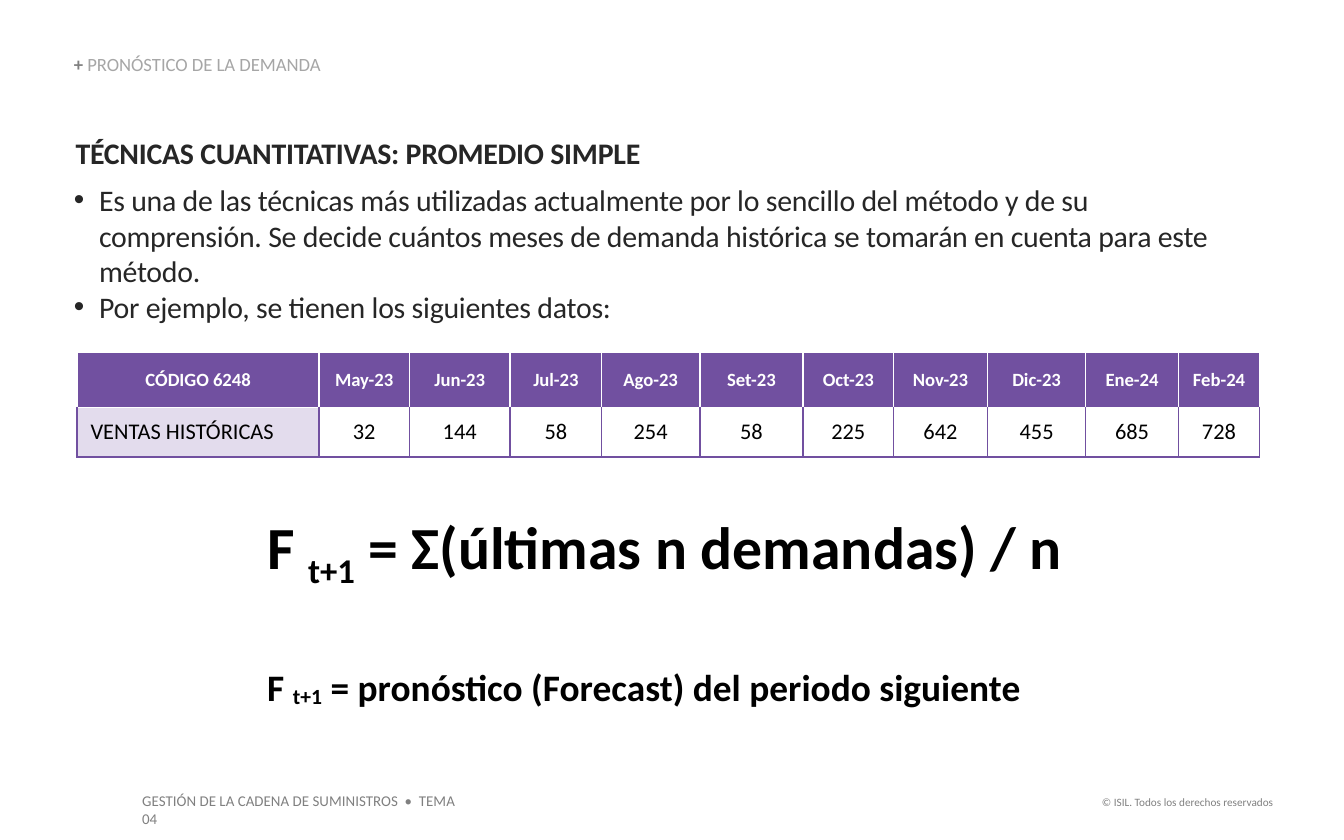
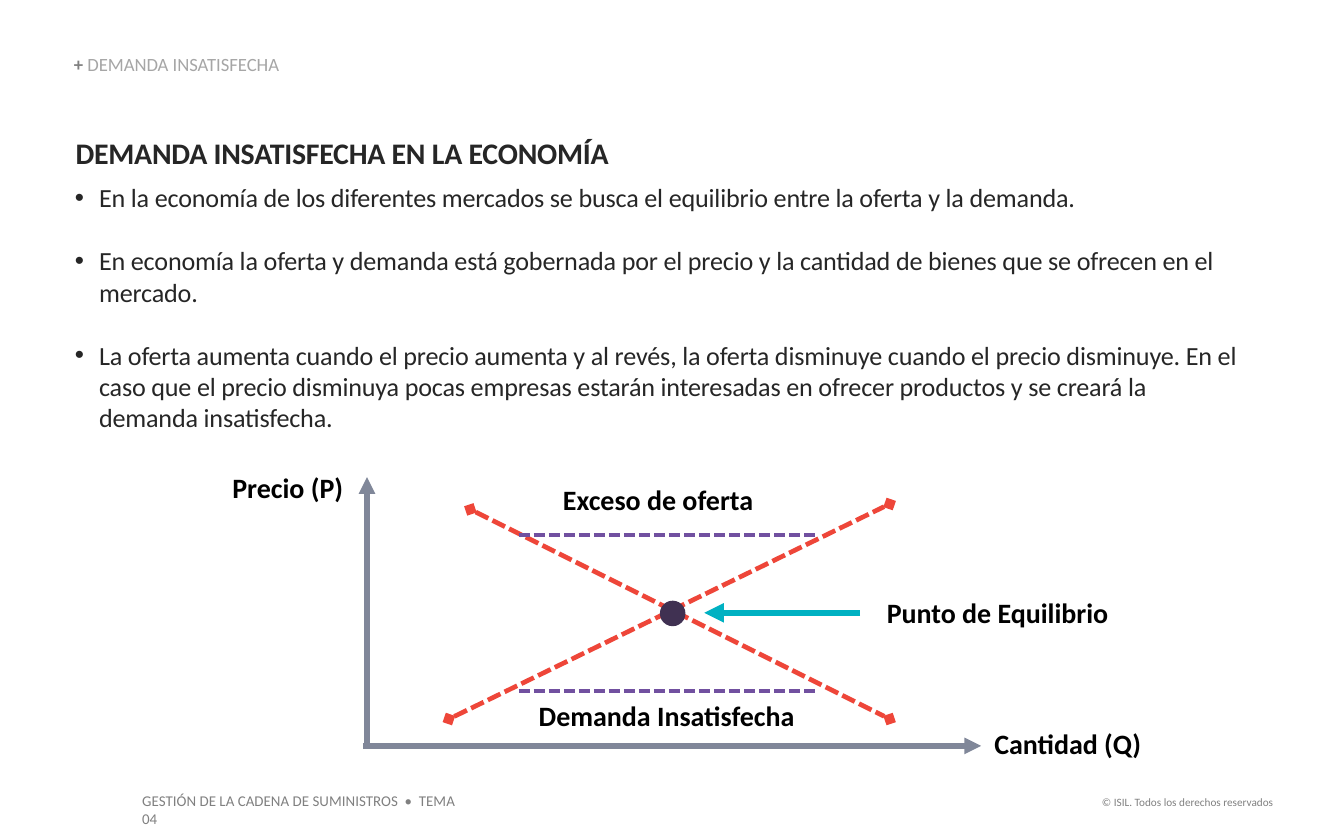
from lxml import etree
from pptx import Presentation
from pptx.dml.color import RGBColor
from pptx.enum import dml, shapes, text
from pptx.oxml import ns
from pptx.util import Pt

FONT = "Calibri"
BLACK, WHITE = "000000", "FFFFFF"
INK, GREY, PALE_GREY = "262626", "808080", "A6A6A6"
PURPLE, LILAC, PLUM = "7150A0", "E3DCED", "403152"
SLATE, RED, TEAL = "808799", "EE4639", "00B1C2"

LEFT = 39.6
COURSE = "GESTIÓN DE LA CADENA DE SUMINISTROS  •  TEMA 04"
RIGHTS = "© ISIL. Todos los derechos reservados"
MONTHS = ["May-23", "Jun-23", "Jul-23", "Ago-23", "Set-23",
          "Oct-23", "Nov-23", "Dic-23", "Ene-24", "Feb-24"]
SALES = [32, 144, 58, 254, 58, 225, 642, 455, 685, 728]
COLUMN_WIDTHS = [129.6, 48.4, 54, 49, 52.6, 55.4, 48.4, 50.4, 52.6, 49.7, 43.5]


def rgb(color):
    return RGBColor.from_string(color)


def add_xml(parent, tag, index=None, **attributes):
    child = etree.Element(ns.qn(tag), attributes)
    parent.insert(len(parent) if index is None else index, child)
    return child


def style(run, size, color, bold=False, spacing=None, baseline=None):
    run.font.name, run.font.size, run.font.bold = FONT, Pt(size), bold
    run.font.color.rgb = rgb(color)
    properties = run._r.get_or_add_rPr()
    if spacing is not None:
        properties.set("spc", str(spacing))
    if baseline is not None:
        properties.set("baseline", str(baseline))


def add_run(paragraph, words, size, color, **looks):
    run = paragraph.add_run()
    run.text = words
    style(run, size, color, **looks)


def add_text_frame(parts, left, top, width, height, wrap=False, margins=True):
    frame = parts.add_textbox(Pt(left), Pt(top), Pt(width), Pt(height)).text_frame
    frame.word_wrap = wrap
    frame.auto_size = text.MSO_AUTO_SIZE.SHAPE_TO_FIT_TEXT
    if not margins:
        clear_margins(frame)
    return frame


def clear_margins(frame):
    frame.margin_left = frame.margin_right = 0
    frame.margin_top = frame.margin_bottom = 0


def add_label(parts, words, left, top, width, height=25.2, size=15,
              color=BLACK, bold=True, wrap=False, align=text.PP_ALIGN.LEFT):
    frame = add_text_frame(parts, left, top, width, height, wrap)
    frame.text = words
    frame.paragraphs[0].alignment = align
    style(frame.paragraphs[0].runs[0], size, color, bold)


def add_topic_slide(deck, topic):
    """Slide with its topic line and both footers."""
    slide = deck.slides.add_slide(deck.slide_layouts[5])
    title = slide.shapes.title
    title.left, title.top, title.width, title.height = (
        Pt(LEFT), Pt(29.5), Pt(334.8), Pt(10.8))
    frame = title.text_frame
    clear_margins(frame)
    frame.auto_size = text.MSO_AUTO_SIZE.NONE
    frame.word_wrap = True
    frame.vertical_anchor = text.MSO_ANCHOR.BOTTOM
    line = frame.paragraphs[0]
    line.alignment, line.line_spacing = text.PP_ALIGN.LEFT, 0.9
    line.space_before = Pt(0)
    add_run(line, "+ ", 10, GREY, bold=True)
    add_run(line, topic, 10, PALE_GREY)

    add_label(slide.shapes, RIGHTS, 567.4, 422.6, 121.7, 14.4, size=6, color=GREY,
              bold=False, align=text.PP_ALIGN.RIGHT)
    add_label(slide.shapes, COURSE, 69.1, 420.5, 191.5, 17.3, size=8, color=GREY,
              bold=False, wrap=True)
    return slide


def add_bullet(paragraph, indent):
    properties = paragraph._p.get_or_add_pPr()
    properties.set("marL", str(Pt(13.5)))
    properties.set("indent", str(Pt(-indent)))
    add_xml(properties, "a:buFont", typeface="Arial")
    add_xml(properties, "a:buChar", char="•")


def add_points(slide, heading, points, height, size, indent, gap=0):
    """Bold heading followed by bulleted points."""
    frame = add_text_frame(slide.shapes, LEFT, 72, 625.5, height, True, False)
    head = frame.paragraphs[0]
    head.text = heading
    head.space_after = Pt(6)
    head._p.get_or_add_pPr().set("marL", str(Pt(0.9)))
    style(head.runs[0], 16, INK, bold=True, spacing=-10)
    for number, point in enumerate(points, 1):
        paragraph = frame.add_paragraph()
        paragraph.text = point
        add_bullet(paragraph, indent)
        if number < len(points):
            paragraph.space_after = Pt(gap)
        style(paragraph.runs[0], size, INK, spacing=-10)


def set_borders(cell, **colors):
    properties = cell._tc.get_or_add_tcPr()
    for index, side in enumerate("LRTB"):
        border = add_xml(properties, "a:ln" + side, index, w=str(Pt(1)))
        fill = add_xml(border, "a:solidFill")
        add_xml(fill, "a:srgbClr", val=colors[side])


def fill_cell(cell, words, size, color, fill, edge, bold=False, centred=True):
    cell.text = words
    cell.vertical_anchor = text.MSO_ANCHOR.MIDDLE
    paragraph = cell.text_frame.paragraphs[0]
    paragraph.alignment = text.PP_ALIGN.CENTER if centred else text.PP_ALIGN.LEFT
    style(paragraph.runs[0], size, color, bold)
    cell.fill.solid()
    cell.fill.fore_color.rgb = rgb(fill)
    set_borders(cell, L=edge, R=edge, T=WHITE, B=edge)


def add_sales_table(slide):
    table = slide.shapes.add_table(2, len(COLUMN_WIDTHS), Pt(41.3), Pt(188.8),
                                   Pt(sum(COLUMN_WIDTHS)), Pt(56.1)).table
    table.horz_banding = False
    for column, width in zip(table.columns, COLUMN_WIDTHS):
        column.width = Pt(width)
    for row, height in zip(table.rows, (29.5, 26.6)):
        row.height = Pt(height)
    for column, month in enumerate(["CÓDIGO 6248"] + MONTHS):
        fill_cell(table.cell(0, column), month, 10, WHITE, PURPLE, WHITE, bold=True)
    fill_cell(table.cell(1, 0), "VENTAS HISTÓRICAS", 12, BLACK, LILAC, PURPLE,
              centred=False)
    for column, units in enumerate(SALES, 1):
        fill_cell(table.cell(1, column), str(units), 12, BLACK, WHITE, PURPLE)


def add_formula(paragraph, meaning, size, baseline):
    add_run(paragraph, "F ", size, BLACK, bold=True)
    add_run(paragraph, "t+1", size, BLACK, bold=True, baseline=baseline)
    add_run(paragraph, meaning, size, BLACK, bold=True)


def add_line(parts, start, end, color, width, dashed=False, head=None, tail=None):
    line = parts.add_connector(shapes.MSO_CONNECTOR.STRAIGHT,
                               *(Pt(value) for value in start + end))
    line.line.color.rgb = rgb(color)
    line.line.width = Pt(width)
    if dashed:
        line.line.dash_style = dml.MSO_LINE.SQUARE_DOT
    outline = line.line._get_or_add_ln()
    for tag, kind in (("a:headEnd", head), ("a:tailEnd", tail)):
        if kind:
            add_xml(outline, tag, type=kind)
    add_xml(line._element.spPr, "a:effectLst")


def add_market_diagram(slide):
    parts = slide.shapes.add_group_shape().shapes

    # Axes
    add_line(parts, (194.4, 399.6), (525.6, 399.6), SLATE, 3, tail="triangle")
    add_line(parts, (196.6, 399.6), (196.6, 255.6), SLATE, 3, tail="triangle")
    add_label(parts, "Cantidad (Q)", 525.6, 385.9, 93.6)
    add_label(parts, "Precio (P)", 117.4, 248.4, 74.2)

    # Supply and demand
    for start, end in (((240.5, 385.2), (476.6, 270)), ((252, 272.9), (476.6, 385.2))):
        add_line(parts, start, end, RED, 2.5, True, "diamond", "diamond")

    # Gaps below and above the balance
    add_label(parts, "Demanda Insatisfecha", 281.5, 370.8, 152.6)
    add_label(parts, "Exceso de oferta", 294.5, 254.9, 117.4)
    for level in (370.1, 286.6):
        add_line(parts, (277.9, level), (438.2, level), PURPLE, 2, True)

    # Balance point
    balance = parts.add_shape(shapes.MSO_SHAPE.OVAL, Pt(353.5), Pt(321.8),
                              Pt(13.7), Pt(13.7))
    balance.shadow.inherit = False
    balance.fill.solid()
    balance.fill.fore_color.rgb = rgb(PLUM)
    balance.line.fill.background()
    add_line(parts, (460.8, 328.3), (377.3, 328.3), TEAL, 3.5, tail="triangle")
    add_label(parts, "Punto de Equilibrio", 468, 315.4, 133.9)


def build_average_slide(deck):
    slide = add_topic_slide(deck, "PRONÓSTICO DE LA DEMANDA")
    add_points(slide, "TÉCNICAS CUANTITATIVAS: PROMEDIO SIMPLE", [
        "Es una de las técnicas más utilizadas actualmente por lo sencillo del método "
        "y de su comprensión. Se decide cuántos meses de demanda histórica se tomarán "
        "en cuenta para este método.",
        "Por ejemplo, se tienen los siguientes datos:",
    ], height=103, size=16, indent=13.5)
    add_sales_table(slide)
    formulas = add_text_frame(slide.shapes, 136.1, 269.3, 448.6, 108.7)
    rule = formulas.paragraphs[0]
    rule.space_after = Pt(39)
    add_formula(rule, " = Σ(últimas n demandas) / n", 32, -25000)
    add_formula(formulas.add_paragraph(),
                " = pronóstico (Forecast) del periodo siguiente", 20, -10000)


def build_unmet_demand_slide(deck):
    slide = add_topic_slide(deck, "DEMANDA INSATISFECHA")
    add_points(slide, "DEMANDA INSATISFECHA EN LA ECONOMÍA", [
        "En la economía de los diferentes mercados se busca el equilibrio entre la "
        "oferta y la demanda.",
        "En economía la oferta y demanda está gobernada por el precio y la cantidad "
        "de bienes que se ofrecen en el mercado.",
        "La oferta aumenta cuando el precio aumenta y al revés, la oferta disminuye "
        "cuando el precio disminuye. En el caso que el precio disminuya pocas empresas "
        "estarán interesadas en ofrecer productos y se creará la demanda insatisfecha.",
    ], height=161.3, size=14, indent=13, gap=17)
    add_market_diagram(slide)


def main():
    deck = Presentation()
    deck.slide_width, deck.slide_height = Pt(720), Pt(450)
    build_average_slide(deck)
    build_unmet_demand_slide(deck)
    deck.save("out.pptx")


if __name__ == "__main__":
    main()
